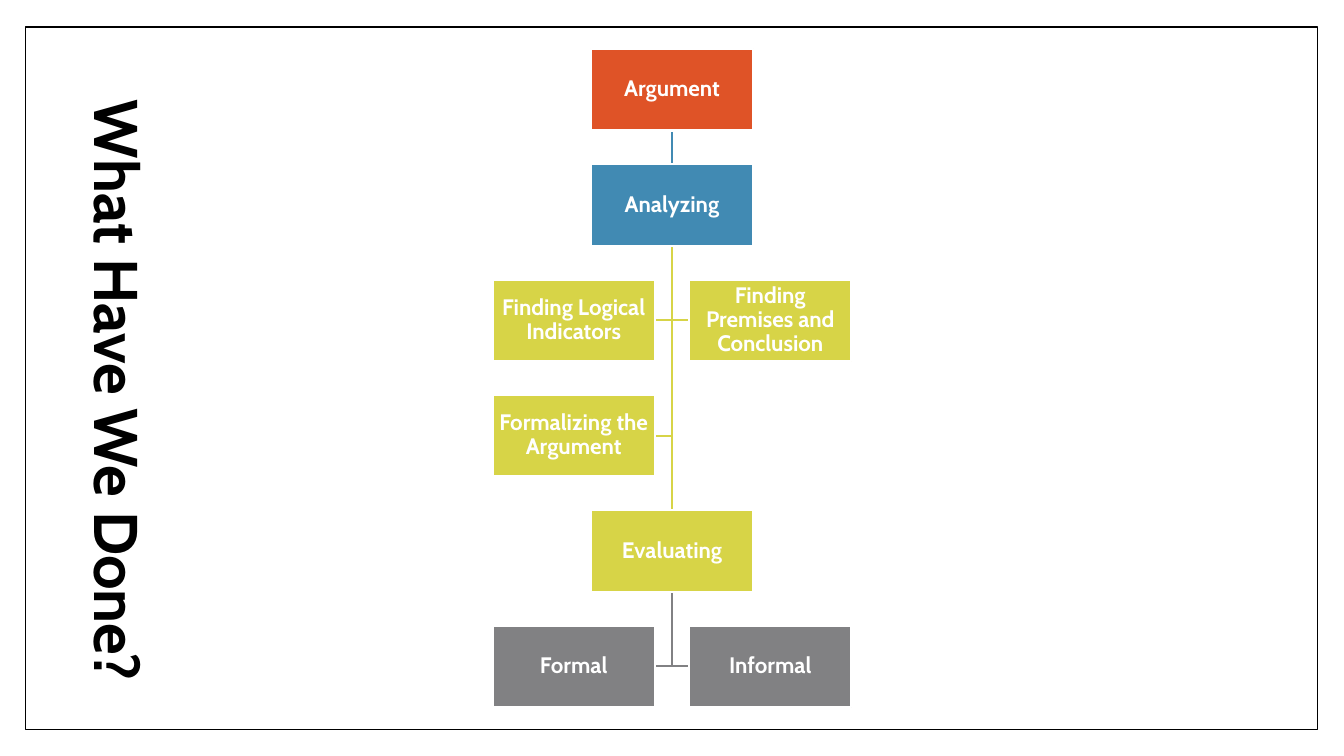
from lxml import etree
from pptx import Presentation
from pptx import util as u
from pptx.dml.color import RGBColor
from pptx.enum import shapes, text
from pptx.oxml.ns import qn

COLORS = {
    "black": "000000",
    "white": "FFFFFF",
    "orange": "DF5327",
    "blue": "418AB3",
    "lime": "D7D447",
    "gray": "818183",
}
FONT = "Cabin"
WIDTH, HEIGHT = 13.33, 7.5
CENTER_X, COLUMN_STEP = WIDTH / 2, 0.975
FIRST_ROW_Y, ROW_STEP = 0.89, 1.144
BOX_WIDTH, BOX_HEIGHT = 1.61, 0.81
LINE_WIDTH = 1.5

NODES = {
    "Argument": (0, 0, "orange"),
    "Analyzing": (0, 1, "blue"),
    "Evaluating": (0, 4, "lime"),
    "Formal": (-1, 5, "gray"),
    "Informal": (1, 5, "gray"),
    "Finding Logical Indicators": (-1, 2, "lime"),
    "Finding Premises and Conclusion": (1, 2, "lime"),
    "Formalizing the Argument": (-1, 3, "lime"),
}
LINKS = [
    ("Analyzing", "Formalizing the Argument"),
    ("Analyzing", "Finding Premises and Conclusion"),
    ("Analyzing", "Finding Logical Indicators"),
    ("Evaluating", "Informal"),
    ("Evaluating", "Formal"),
    ("Analyzing", "Evaluating"),
    ("Argument", "Analyzing"),
]


def color(name):
    return RGBColor.from_string(COLORS[name])


def node_center(name):
    column, row, _ = NODES[name]
    return CENTER_X + column * COLUMN_STEP, FIRST_ROW_Y + row * ROW_STEP


def style_line(line, name, width):
    line.color.rgb = color(name)
    line.width = u.Pt(width)


def style_text(frame, size, name, alignment, anchor):
    frame.word_wrap = True
    frame.auto_size = text.MSO_AUTO_SIZE.NONE
    frame.vertical_anchor = anchor
    for para in frame.paragraphs:
        para.alignment = alignment
        para.line_spacing = 0.9
        for span in para.runs:
            span.font.name = FONT
            span.font.size = u.Pt(size)
            span.font.bold = True
            span.font.color.rgb = color(name)


def add_box(page, left, top, width, height, fill, outline, line_width):
    box = page.shapes.add_shape(
        shapes.MSO_SHAPE.RECTANGLE, *map(u.Inches, (left, top, width, height)))
    box.shadow.inherit = False
    box.fill.solid()
    box.fill.fore_color.rgb = color(fill)
    style_line(box.line, outline, line_width)
    return box


def add_frame(page):
    frame = add_box(page, 0.25, 0.27, 12.82, 6.97, "white", "black", 1)
    page.shapes._spTree.insert(2, frame._element)


def set_title(page, words):
    title = page.shapes.title
    center_x, center_y, length, depth = 1.43, 3.88, 5.98, 1.34
    title.left, title.top, title.width, title.height = map(
        u.Inches, (center_x - length / 2, center_y - depth / 2, length, depth))
    title.rotation = 90
    title.text_frame.text = words
    style_text(title.text_frame, 44, "black",
               text.PP_ALIGN.LEFT, text.MSO_ANCHOR.BOTTOM)


def add_link(page, parent, child):
    x, parent_y = node_center(parent)
    child_x, child_y = node_center(child)
    start_y = parent_y + BOX_HEIGHT / 2
    side = NODES[child][0]
    if side:
        builder = page.shapes.build_freeform(
            u.Inches(x), u.Inches(start_y))
        side_x = child_x - side * BOX_WIDTH / 2
        builder.add_line_segments(
            [(u.Inches(x), u.Inches(child_y)),
             (u.Inches(side_x), u.Inches(child_y))], close=False)
        link = builder.convert_to_shape()
        link.fill.background()
        link.shadow.inherit = False
    else:
        link = page.shapes.add_connector(
            shapes.MSO_CONNECTOR.STRAIGHT, u.Inches(x), u.Inches(start_y),
            u.Inches(x), u.Inches(child_y - BOX_HEIGHT / 2))
    style_line(link.line, NODES[child][2], LINE_WIDTH)
    if not side:
        etree.SubElement(link._element.spPr, qn("a:effectLst"))


def add_node(page, name):
    x, y = node_center(name)
    box = add_box(page, x - BOX_WIDTH / 2, y - BOX_HEIGHT / 2,
                  BOX_WIDTH, BOX_HEIGHT, NODES[name][2], "white", LINE_WIDTH)
    frame = box.text_frame
    frame.text = name
    frame.margin_left = frame.margin_right = u.Inches(0.01)
    frame.margin_top = frame.margin_bottom = u.Inches(0.01)
    style_text(frame, 16, "white",
               text.PP_ALIGN.CENTER, text.MSO_ANCHOR.MIDDLE)


def main():
    deck = Presentation()
    deck.slide_width, deck.slide_height = u.Inches(WIDTH), u.Inches(HEIGHT)
    page = deck.slides.add_slide(deck.slide_layouts.get_by_name("Title Only"))
    add_frame(page)
    set_title(page, "What Have We Done?")
    for parent, child in LINKS:
        add_link(page, parent, child)
    for name in NODES:
        add_node(page, name)
    deck.save("out.pptx")


if __name__ == "__main__":
    main()
